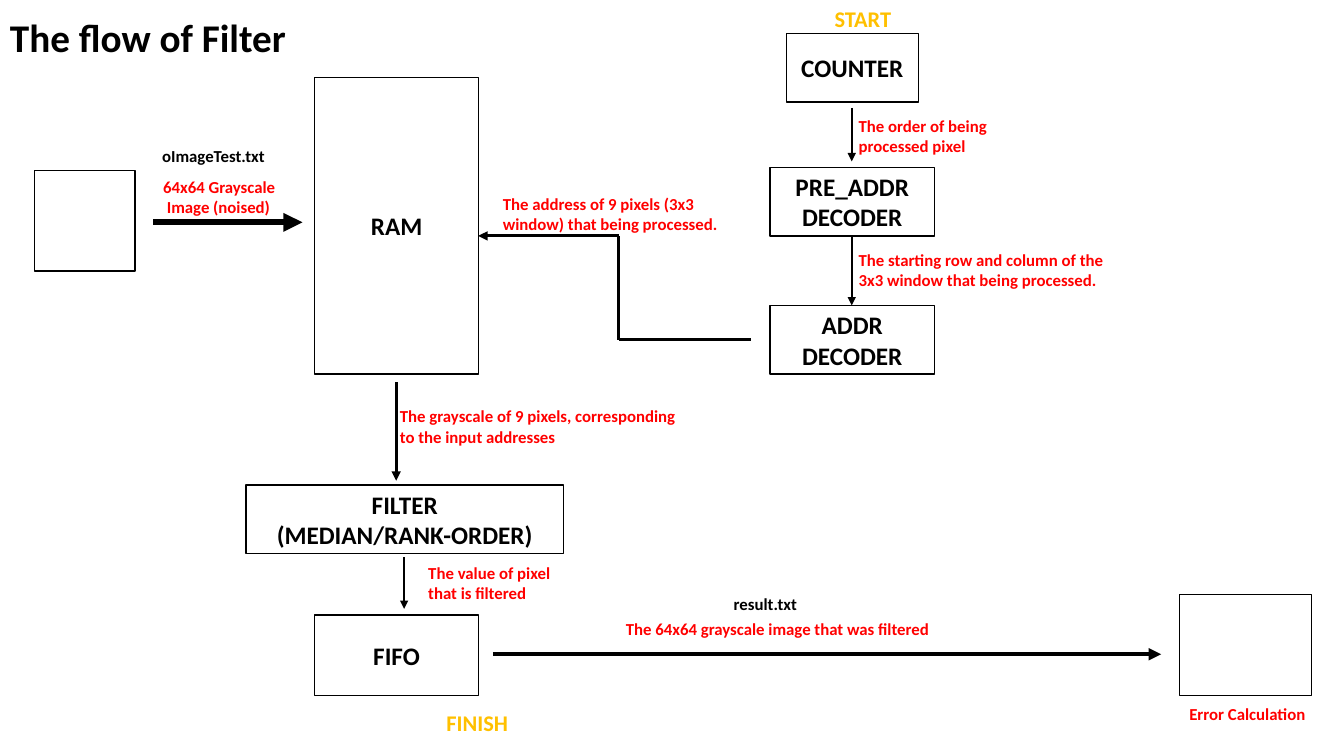
from lxml import etree
from pptx import Presentation
from pptx.dml.color import RGBColor
from pptx.enum.shapes import MSO_CONNECTOR, MSO_SHAPE
from pptx.enum.text import MSO_ANCHOR, MSO_AUTO_SIZE, PP_ALIGN
from pptx.oxml.ns import qn
from pptx.util import Pt

BLACK = RGBColor(0, 0, 0)
WHITE = RGBColor(255, 255, 255)
RED = RGBColor(255, 0, 0)
GOLD = RGBColor(255, 192, 0)


def write(frame, text, size=12, color=RED, align=PP_ALIGN.LEFT):
    frame.text = text
    for para in frame.paragraphs:
        para.alignment = align
        font = para.runs[0].font
        font.name, font.size, font.bold = "Calibri", Pt(size), True
        font.color.rgb = color


deck = Presentation()
deck.slide_width, deck.slide_height = Pt(960), Pt(540)
slide = deck.slides.add_slide(deck.slide_layouts[6])
shapes = slide.shapes

# Blocks: text, left, top, width, height
WIDE, LOW = 117.4, 49
blocks = [
    ("", 24.5, 121.7, 72, 72),
    ("RAM", 224.6, 55.4, WIDE, 211.7),
    ("COUNTER", 561.6, 23.8, 94.3, LOW),
    ("PRE_ADDR\nDECODER", 550.1, 119.5, WIDE, LOW),
    ("ADDR\nDECODER", 550.1, 218.2, WIDE, LOW),
    ("FILTER\n(MEDIAN/RANK-ORDER)", 175.7, 346.3, 226.8, LOW),
    ("FIFO", 224.6, 439.2, WIDE, 57.6),
    ("", 842.4, 424.8, 94.3, 72),
]
for text, *place in blocks:
    block = shapes.add_shape(MSO_SHAPE.RECTANGLE, *map(Pt, place))
    block.shadow.inherit = False
    block.fill.solid()
    block.fill.fore_color.rgb = WHITE
    block.line.color.rgb = BLACK
    block.line.width = Pt(1)
    if text:
        block.text_frame.vertical_anchor = MSO_ANCHOR.MIDDLE
        write(block.text_frame, text, size=18, color=BLACK, align=PP_ALIGN.CENTER)

# Lines: start x, start y, end x, end y, weight, arrowhead
lines = [
    (109.4, 158.8, 216, 158.8, 4.5, True),
    (608.4, 77, 608.4, 115.2, 1.5, True),
    (608.4, 168.5, 608.4, 218.2, 1.5, True),
    (536.4, 242.6, 442, 242.6, 2.25, False),
    (442, 242.6, 442, 168.5, 2.25, False),
    (442, 168.5, 341.6, 168.5, 2.25, True),
    (283, 272.9, 283, 343.4, 2.25, True),
    (288.7, 398.2, 288.7, 434.9, 1.5, True),
    (352.1, 467.3, 829.4, 467.3, 3, True),
]
for *ends, weight, arrow in lines:
    link = shapes.add_connector(MSO_CONNECTOR.STRAIGHT, *map(Pt, ends))
    link.line.color.rgb = BLACK
    link.line.width = Pt(weight)
    if arrow:
        etree.SubElement(link.line._get_or_add_ln(), qn("a:tailEnd"), type="triangle")
    etree.SubElement(link._element.spPr, qn("a:effectLst"))

# Labels: text, left, top, width, height, size, color
labels = [
    ("The flow of Filter", 0, 5.8, 214.6, 41, 28, BLACK),
    ("oImageTest.txt", 108.7, 100.8, 106.6, 21.6, 12, BLACK),
    ("The order of being processed pixel", 606.2, 79.2, 121.7, 36, 12, RED),
    ("The starting row and column of the 3x3 window that being processed.",
     606.2, 175, 190.8, 36, 12, RED),
    ("The address of 9 pixels (3x3 window) that being processed.",
     352.1, 134.6, 190.8, 36, 12, RED),
    ("The grayscale of 9 pixels, corresponding to the input addresses",
     278.6, 286.6, 213.8, 36, 12, RED),
    ("The value of pixel that is filtered", 298.8, 398.2, 106.6, 36, 12, RED),
    ("The 64x64 grayscale image that was filtered",
     439.9, 438.5, 243.4, 21.6, 12, RED),
    ("START", 589, 0, 106.6, 26.6, 16, GOLD),
    ("Error Calculation", 842.4, 499, 106.6, 21.6, 12, RED),
    ("FINISH", 311.8, 503.3, 106.6, 26.6, 16, GOLD),
    ("64x64 Grayscale\n Image (noised)", 109.4, 122.4, 111.6, 36, 12, RED),
    ("result.txt", 517, 420.5, 106.6, 21.6, 12, BLACK),
]
for text, *place, size, color in labels:
    frame = shapes.add_textbox(*map(Pt, place)).text_frame
    frame.word_wrap = size < 28  # the title stays on one line
    frame.auto_size = MSO_AUTO_SIZE.SHAPE_TO_FIT_TEXT
    write(frame, text, size=size, color=color)

deck.save("out.pptx")
